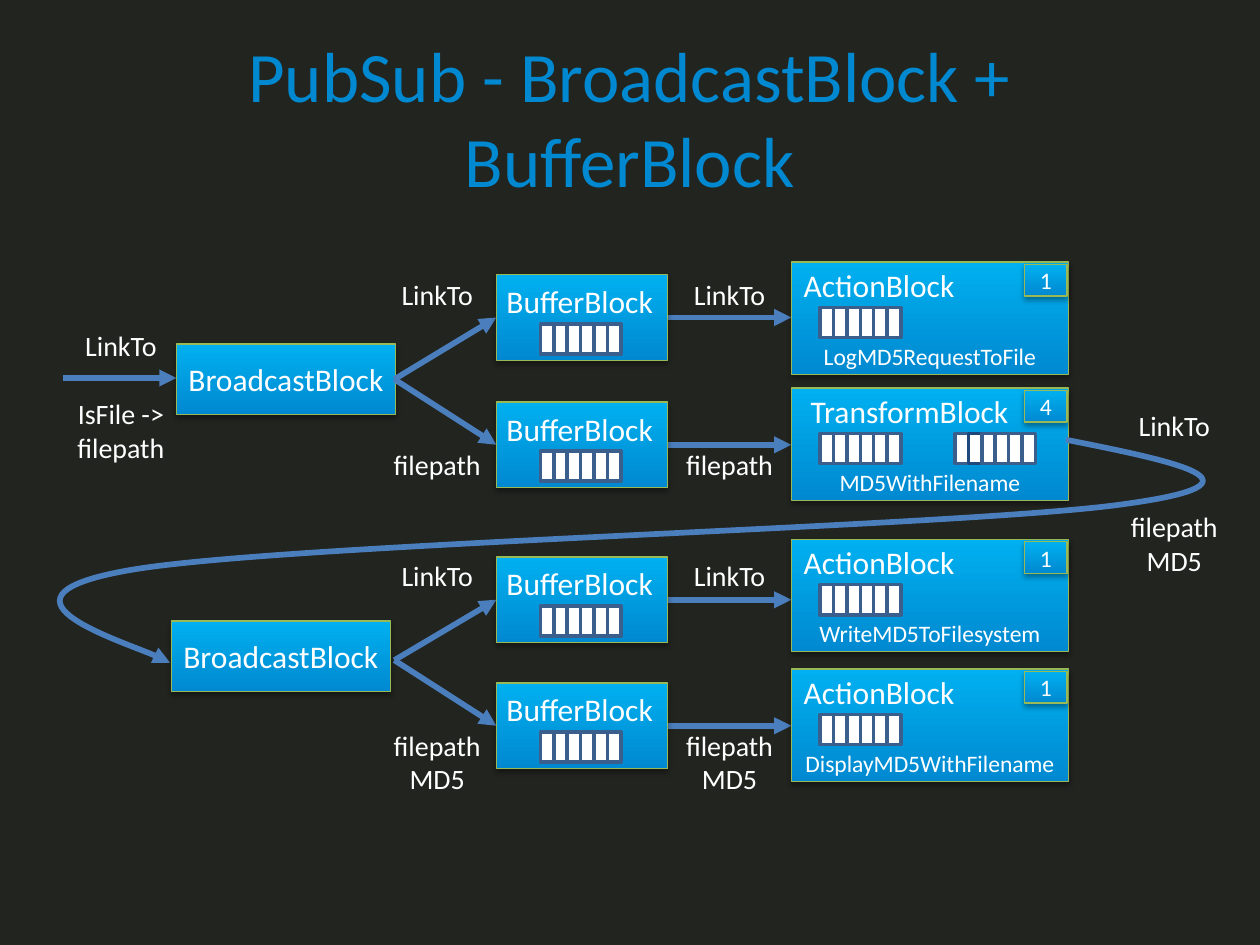
from lxml import etree
from pptx import Presentation
from pptx import util as u
from pptx.dml.color import RGBColor
from pptx.enum import shapes, text
from pptx.oxml.ns import qn

FONT = "Calibri"
WHITE, BLUE, SKY = "FFFFFF", "0089D0", "00B0F0"
BACKGROUND, ARROW, BLOCK_EDGE = "222420", "4B7EBC", "98B955"
CELL_EDGE, DARK_CELL_EDGE = "3A5F8C", "1F497D"
LEFT, CENTER = text.PP_ALIGN.LEFT, text.PP_ALIGN.CENTER
LABEL_LINE = 19.5  # height in points of one line of label text

BROADCAST_RIGHT, BUFFER_LEFT, BUFFER_RIGHT, ACTION_LEFT = 3.13, 3.94, 5.29, 6.28


def color(value):
    return RGBColor.from_string(value)


def add_xml(parent, tag, **attributes):
    return etree.SubElement(parent, qn(tag), {k: str(v) for k, v in attributes.items()})


def write(shape, words, size=18, align=CENTER, before=0, fill=WHITE):
    """Add one paragraph, using the empty first one if there is one."""
    frame = shape.text_frame
    paragraph = frame.paragraphs[0] if not frame.text else frame.add_paragraph()
    paragraph.alignment = align
    paragraph.space_before = u.Pt(before)
    run = paragraph.add_run()
    run.text = words
    run.font.name = FONT
    run.font.size = u.Pt(size)
    run.font.color.rgb = color(fill)


def set_frame(shape, anchor=text.MSO_ANCHOR.MIDDLE, side=0.1, top_margin=0.05, wrap=True):
    frame = shape.text_frame
    frame.word_wrap = wrap
    frame.auto_size = text.MSO_AUTO_SIZE.NONE
    frame.vertical_anchor = anchor
    frame.margin_left = frame.margin_right = u.Inches(side)
    frame.margin_top, frame.margin_bottom = u.Inches(top_margin), u.Inches(0.05)


def add_rectangle(slide, left, top, width, height, edge, weight):
    shape = slide.shapes.add_shape(
        shapes.MSO_SHAPE.RECTANGLE,
        u.Inches(left), u.Inches(top), u.Inches(width), u.Inches(height))
    shape.line.color.rgb = color(edge)
    shape.line.width = u.Pt(weight)
    shape.shadow.inherit = False
    return shape


def add_block(slide, left, top, width, height, **frame_format):
    """Add a rectangle with the blue gradient and a soft shadow below."""
    block = add_rectangle(slide, left, top, width, height, BLOCK_EDGE, 0.75)
    block.fill.gradient()
    block.fill.gradient_angle = 90
    for stop, value in zip(block.fill.gradient_stops, (BLUE, SKY)):
        stop.color.rgb = color(value)
    effects = block._element.spPr.find(qn("a:effectLst"))
    shadow = add_xml(effects, "a:outerShdw", blurRad=u.Pt(3.1), dist=u.Pt(1.8),
                     dir=5400000, rotWithShape=0)
    add_xml(add_xml(shadow, "a:srgbClr", val="000000"), "a:alpha", val=35000)
    set_frame(block, **frame_format)
    return block


def add_queue(slide, left, top, dark_cell=None):
    for index in range(6):
        edge = DARK_CELL_EDGE if index == dark_cell else CELL_EDGE
        cell = add_rectangle(slide, left + index * 0.106, top, 0.11, 0.24, edge, 2)
        cell.fill.solid()
        cell.fill.fore_color.rgb = color(WHITE)


def style_arrow(line_shape):
    line_shape.line.color.rgb = color(ARROW)
    line_shape.line.width = u.Pt(3.25)
    line = line_shape._element.spPr.find(qn("a:ln"))
    add_xml(line, "a:tailEnd", type="triangle")


def add_arrow(slide, start, end):
    connector = slide.shapes.add_connector(
        shapes.MSO_CONNECTOR.STRAIGHT, *(u.Inches(value) for value in start + end))
    style_arrow(connector)
    add_xml(connector._element.spPr, "a:effectLst")


def add_curved_arrow(slide, box, start, curves):
    """Draw cubic curves within box; all values are hundredths of an inch."""
    left, top, right, bottom = box
    builder = slide.shapes.build_freeform(left, top, scale=u.Inches(0.01))
    builder.add_line_segments([(right, bottom)], close=False)
    curve_shape = builder.convert_to_shape()
    outline = next(curve_shape._element.iter(qn("a:path")))
    for child in list(outline):
        outline.remove(child)
    outline.set("fill", "none")
    for tag, points in [("a:moveTo", [start])] + [("a:cubicBezTo", c) for c in curves]:
        segment = add_xml(outline, tag)
        for x, y in points:
            add_xml(segment, "a:pt", x=x - left, y=y - top)
    curve_shape.fill.background()
    curve_shape.shadow.inherit = False
    style_arrow(curve_shape)


def add_label(slide, left, top, width, height, upper, lower, blank_lines):
    """Add a label whose parts stand above and below an arrow."""
    label = slide.shapes.add_textbox(
        u.Inches(left), u.Inches(top), u.Inches(width), u.Inches(height))
    set_frame(label, anchor=text.MSO_ANCHOR.TOP, wrap=False)
    write(label, upper, size=16)
    for index, words in enumerate(lower):
        write(label, words, size=16, before=0 if index else blank_lines * LABEL_LINE)


def add_broadcast(slide, left, top):
    write(add_block(slide, left, top, 1.74, 0.56, side=0.08), "BroadcastBlock")


def add_buffer(slide, center):
    top = center - 0.34
    block = add_block(slide, BUFFER_LEFT, top, 1.36, 0.68,
                      anchor=text.MSO_ANCHOR.TOP, side=0.08, top_margin=0.06)
    write(block, "BufferBlock", align=LEFT)
    add_queue(slide, BUFFER_LEFT + 0.35, top + 0.39)


def add_action(slide, top, kind, task, workers):
    block = add_block(slide, ACTION_LEFT, top, 2.2, 0.89)
    write(block, kind, align=LEFT)
    write(block, task, size=13.5, before=22)
    add_queue(slide, ACTION_LEFT + 0.23, top + 0.36)
    badge = add_block(slide, 8.13, top + 0.02, 0.34, 0.25)
    write(badge, workers, size=13.5)


def add_stage(slide, hub, centers, label_top, message, actions):
    """Add two buffers fed from one hub, each linked to its own action."""
    for center, action in zip(centers, actions):
        add_arrow(slide, (BROADCAST_RIGHT, hub), (BUFFER_LEFT, center))
        add_arrow(slide, (BUFFER_RIGHT, center), (ACTION_LEFT, center))
        add_buffer(slide, center)
        add_action(slide, *action)
    for left in (3.02, 5.34):
        add_label(slide, left, label_top, 0.9, 1.72, "LinkTo", message, 4)


def add_title(slide, words):
    title = slide.shapes.title
    title.left, title.top = u.Inches(0.5), u.Inches(0.3)
    title.width, title.height = u.Inches(9), u.Inches(1.25)
    set_frame(title, side=0.2)
    write(title, words, size=40.5, fill=BLUE)


def main():
    presentation = Presentation()
    presentation.slide_width, presentation.slide_height = u.Inches(10), u.Inches(7.5)
    slide = presentation.slides.add_slide(presentation.slide_layouts[5])
    slide.background.fill.solid()
    slide.background.fill.fore_color.rgb = color(BACKGROUND)
    add_title(slide, "PubSub - BroadcastBlock + BufferBlock")

    add_label(slide, 0.53, 2.56, 0.86, 1.18, "LinkTo", ["IsFile ->", "filepath"], 1)
    add_arrow(slide, (0.5, 3), (1.4, 3))
    add_broadcast(slide, 1.4, 2.73)
    add_stage(slide, 3.01, (2.52, 3.53), 2.15, ["filepath"], [
        (2.08, "ActionBlock", "LogMD5RequestToFile", "1"),
        (3.08, " TransformBlock", "MD5WithFilename", "4")])
    add_queue(slide, 7.58, 3.44, dark_cell=1)

    add_curved_arrow(slide, (55, 349, 955, 526), (846, 349), [
        [(931, 366), (1016, 383), (893, 400)],
        [(769, 418), (232, 431), (106, 452)],
        [(-20, 473), (127, 519), (135, 526)]])
    add_label(slide, 8.87, 3.19, 0.9, 1.45, "LinkTo", ["filepath", "MD5"], 2)
    add_broadcast(slide, 1.36, 4.93)
    add_stage(slide, 5.24, (4.76, 5.76), 4.38, ["filepath", "MD5"], [
        (4.28, "ActionBlock", "WriteMD5ToFilesystem", "1"),
        (5.31, "ActionBlock", "DisplayMD5WithFilename", "1")])

    presentation.save("out.pptx")


if __name__ == "__main__":
    main()
